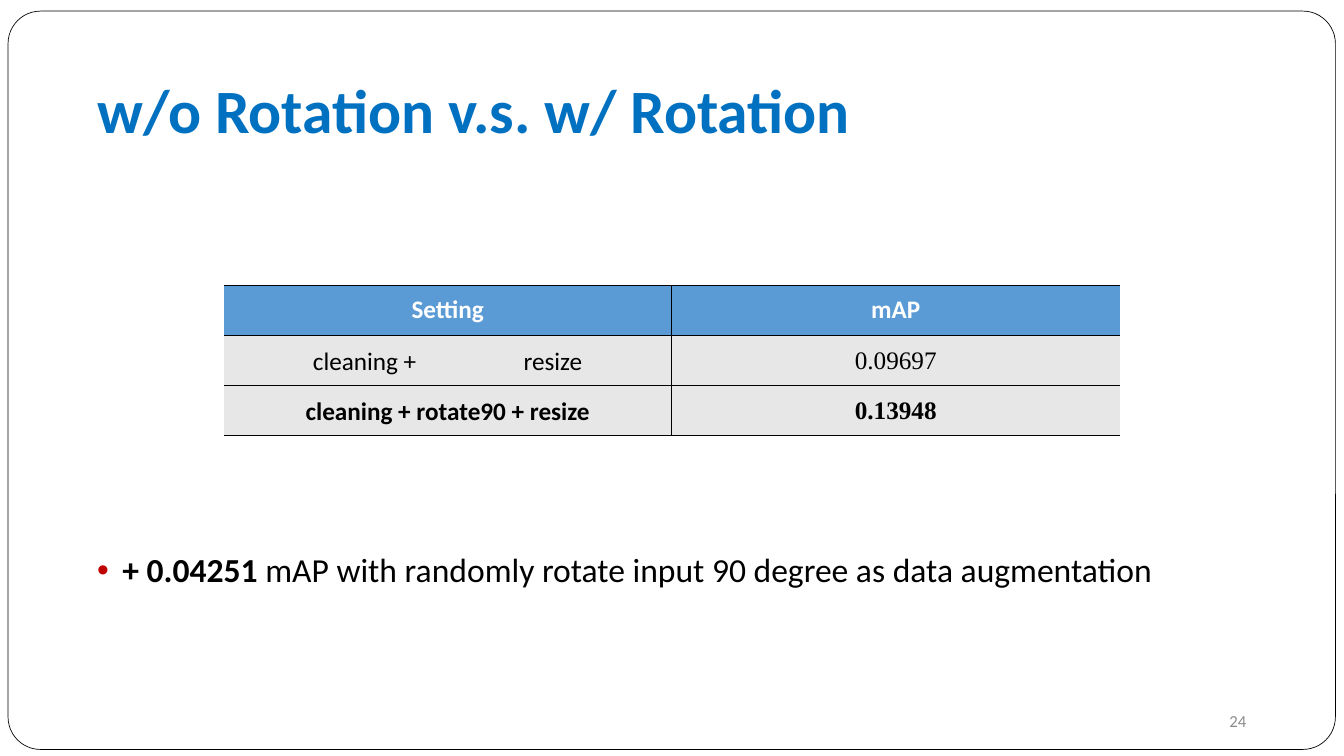
"""Build a slide that compares training without and with rotation."""
from lxml.etree import SubElement as Sub
from pptx import Presentation
from pptx.dml.color import RGBColor as RGB
from pptx.enum.shapes import MSO_SHAPE as Shape
from pptx.enum.text import MSO_ANCHOR as Anchor, PP_ALIGN as Align
from pptx.oxml.ns import qn
from pptx.util import Inches, Pt

HUES = {"ink": "000000", "title": "0070C0", "page": "8C8C8C", "dot": "C00000",
        "head": "5B9BD5", "row": "E7E7E7", "white": "FFFFFF"}


def write(frame, *texts, size=36, hue="ink", font="Calibri", bold=False,
          align=Align.LEFT, lead=1.0, anchor=Anchor.MIDDLE):
    frame.word_wrap = True
    frame.vertical_anchor = anchor
    para = frame.paragraphs[0]
    para.alignment, para.line_spacing = align, lead
    for spot, text in enumerate(texts):
        run = para.add_run()
        run.text = text
        run.font.size, run.font.name = Pt(size), font
        run.font.bold = bold and spot == 0
        run.font.color.rgb = RGB.from_string(HUES[hue])
    return para


def edge(cell, side, width):
    line = Sub(cell._tc.get_or_add_tcPr(), qn(f"a:ln{side}"), w=str(Pt(width)))
    if width:
        fill = Sub(line, qn("a:solidFill"))
        Sub(fill, qn("a:srgbClr"), val=HUES["ink"])
    else:
        Sub(line, qn("a:noFill"))


deck = Presentation()
deck.slide_width, deck.slide_height = Inches(26.67), Inches(15)
slide = deck.slides.add_slide(deck.slide_layouts[6])
shapes = slide.shapes

frame = shapes.add_shape(Shape.ROUNDED_RECTANGLE, Inches(0.16), Inches(0.22),
                         Inches(26.34), Inches(14.65))
frame.adjustments[0] = 0.044
frame.shadow.inherit = False
frame.fill.background()
frame.line.color.rgb = RGB.from_string(HUES["ink"])
frame.line.width = Pt(1)

title = shapes.add_textbox(Inches(1.83), Inches(0.8), Inches(23), Inches(2.9))
write(title.text_frame, "w/o Rotation v.s. w/ Rotation",
      size=88, hue="title", bold=True, lead=0.9)

page = shapes.add_textbox(Inches(18.83), Inches(13.9), Inches(6), Inches(0.8))
write(page.text_frame, "24", size=24, hue="page", align=Align.RIGHT)

note = shapes.add_textbox(Inches(1.83), Inches(10.61), Inches(23), Inches(2.9))
para = write(note.text_frame, "+ 0.04251 ",
             "mAP with randomly rotate input 90 degree as data augmentation",
             size=48, bold=True, align=Align.JUSTIFY, lead=1.3, anchor=Anchor.TOP)
para.space_before = Pt(20)
props = para._p.get_or_add_pPr()
props.set("marL", str(Inches(0.5)))
props.set("indent", str(Inches(-0.5)))
Sub(Sub(props, qn("a:buClr")), qn("a:srgbClr"), val=HUES["dot"])
Sub(props, qn("a:buFont"), typeface="Arial")
Sub(props, qn("a:buChar"), char="•")

rows = [("Setting", "mAP"),
        ("cleaning +\tresize", "0.09697"),
        ("cleaning + rotate90 + resize", "0.13948")]
table = shapes.add_table(3, 2, Inches(4.44), Inches(5.66),
                         Inches(17.78), Inches(2.98)).table
for r, row in enumerate(rows):
    for c, text in enumerate(row):
        cell = table.cell(r, c)
        edge(cell, "L", c)
        edge(cell, "R", 1 - c)
        edge(cell, "T", 1 if r == 2 else 2)
        edge(cell, "B", 1 if r == 1 else 2)
        cell.fill.solid()
        cell.fill.fore_color.rgb = RGB.from_string(HUES["row" if r else "head"])
        cell.vertical_anchor = Anchor.MIDDLE
        if r:
            cell.margin_left = cell.margin_right = Inches(0.07)
            cell.margin_top = cell.margin_bottom = 0
        split = "\t" in text
        para = write(cell.text_frame, text, bold=r != 1,
                     hue="ink" if r else "white",
                     font="Times New Roman" if r and c else "Calibri",
                     align=Align.LEFT if split else Align.CENTER,
                     lead=1.07 if r else 1.0)
        if split:
            cell.margin_left = Inches(1.77)
            tabs = Sub(para._p.get_or_add_pPr(), qn("a:tabLst"))
            Sub(tabs, qn("a:tab"), pos=str(Inches(4.18)), algn="l")

deck.save("out.pptx")
